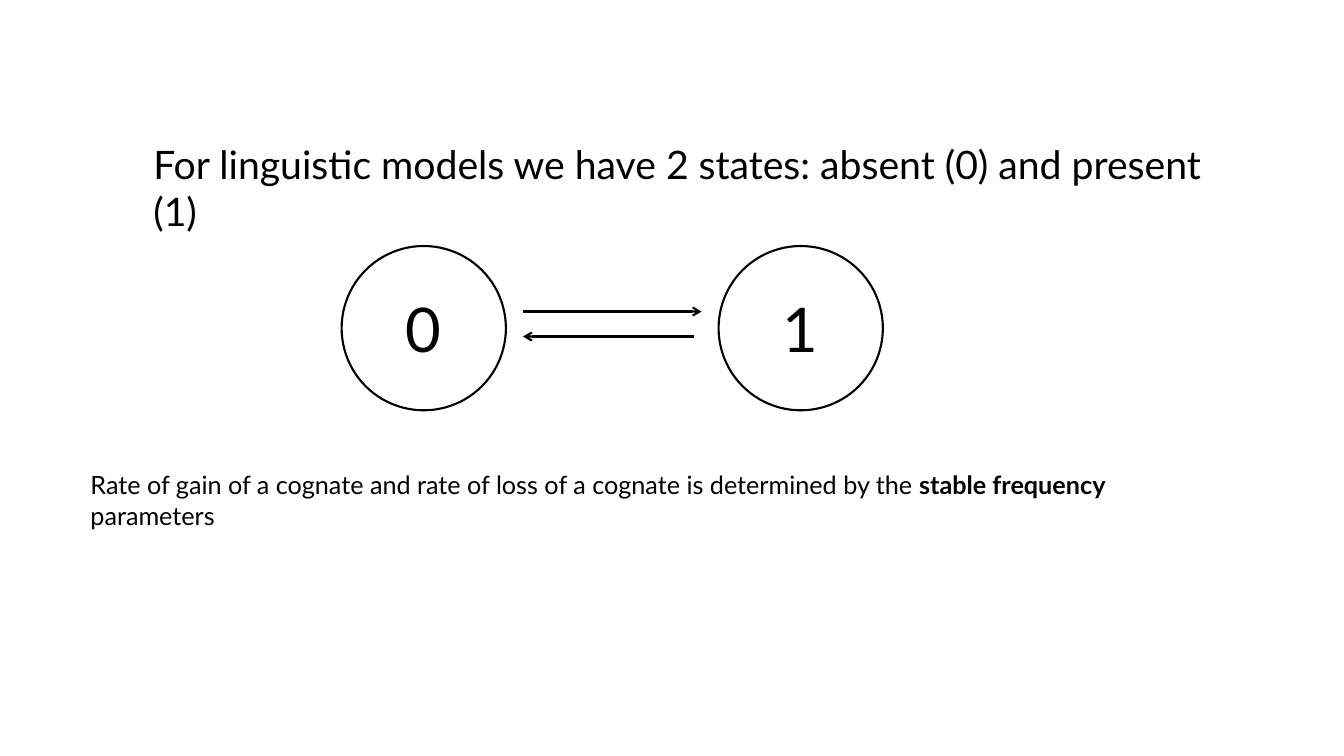
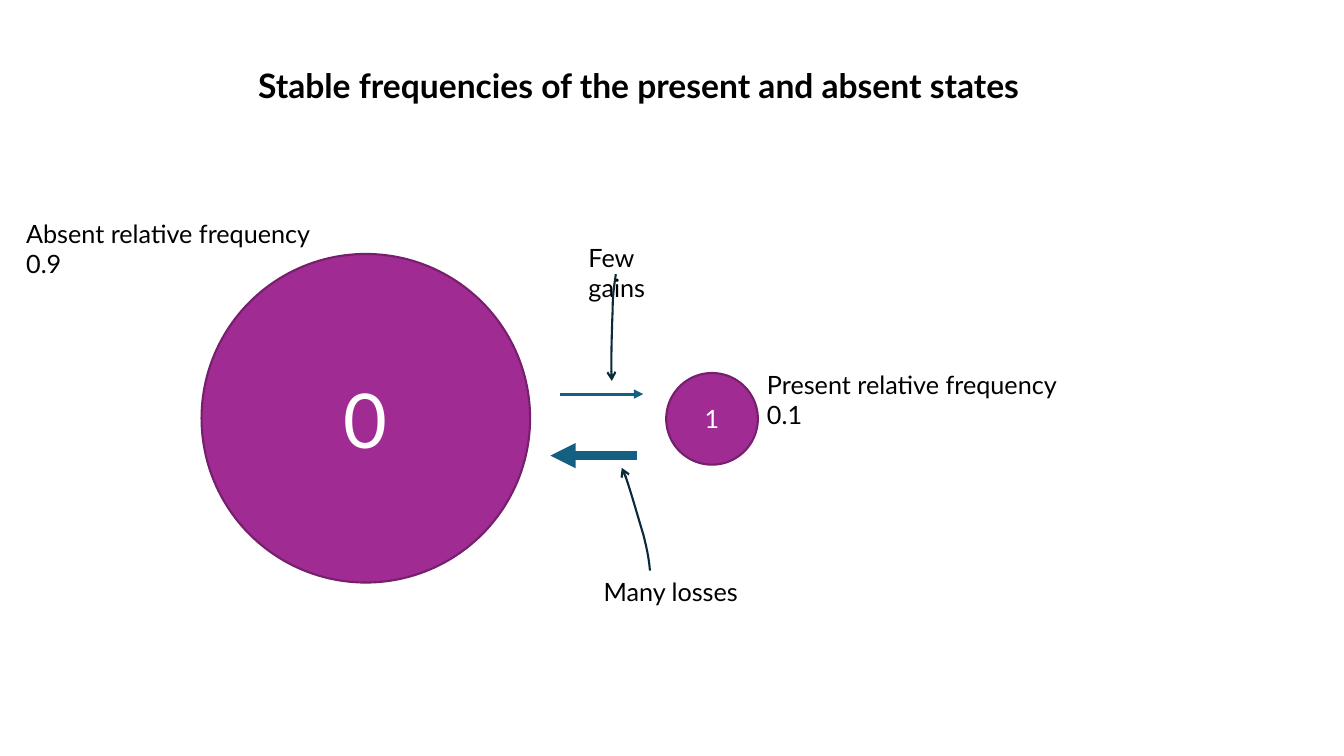
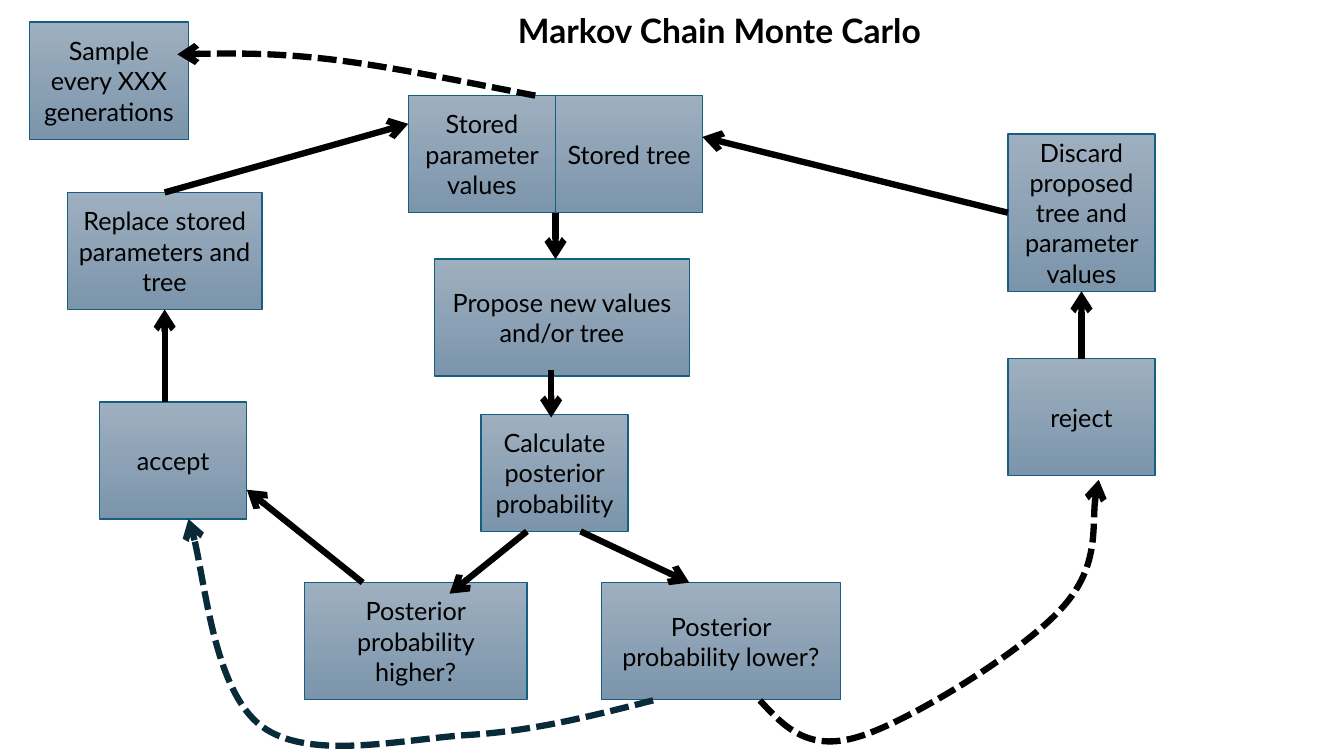
import lxml.etree
import pptx
import pptx.dml.color
import pptx.enum.dml
import pptx.enum.shapes
import pptx.enum.text
import pptx.oxml.ns
import pptx.util

Cm = pptx.util.Cm
Pt = pptx.util.Pt
qn = pptx.oxml.ns.qn
hex_color = pptx.dml.color.RGBColor.from_string
SHAPES = pptx.enum.shapes.MSO_SHAPE
ALIGN = pptx.enum.text.PP_ALIGN
ANCHOR = pptx.enum.text.MSO_ANCHOR

FONT = "Lato"
BLACK, WHITE = "000000", "FFFFFF"
PURPLE, DARK_PURPLE = "A02B93", "76206D"
TEAL, DARK_TEAL = "156082", "092A39"
BOX_TOP, BOX_BOTTOM = "9EAFBF", "7C95AB"


def style_text(shape, size, color=BLACK, bold=False, centred=False):
    frame = shape.text_frame
    frame.word_wrap = True
    frame.vertical_anchor = ANCHOR.MIDDLE if centred else ANCHOR.TOP
    paragraph = frame.paragraphs[0]
    paragraph.alignment = ALIGN.CENTER if centred else ALIGN.LEFT
    for run in paragraph.runs:
        run.font.name = FONT
        run.font.size = Pt(size)
        run.font.bold = bold
        run.font.color.rgb = hex_color(color)


def style_line(shape, color, width, head=None, dashed=False):
    shape.line.color.rgb = hex_color(color)
    shape.line.width = Pt(width)
    if dashed:
        shape.line.dash_style = pptx.enum.dml.MSO_LINE.SQUARE_DOT
    if head:
        outline = shape._element.spPr.find(qn("a:ln"))
        lxml.etree.SubElement(outline, qn("a:tailEnd"), type=head)


deck = pptx.Presentation()
deck.slide_width = Cm(33.87)
deck.slide_height = Cm(19.05)

titles = [
    ("For linguistic models we have 2 states: absent (0) and present (1)", 3.61, 3.4, 28.1, 1.45, 28, False),
    ("Stable frequencies of the present and absent states", 6.25, 1.5, 20.52, 1.27, 24, True),
    ("Markov Chain Monte Carlo", 12.8, 0.13, 10.77, 1.27, 24, True),
]
slides = []
for text, left, top, width, height, size, bold in titles:
    slide = deck.slides.add_slide(deck.slide_layouts[5])
    title = slide.shapes.title
    title.left, title.top, title.width, title.height = Cm(left), Cm(top), Cm(width), Cm(height)
    title.text_frame.text = text
    title.text_frame.auto_size = pptx.enum.text.MSO_AUTO_SIZE.NONE
    style_text(title, size, bold=bold)
    slides.append(slide)
states, frequencies, chain = slides

circles = [
    (states, "0", 8.61, 6.2, 4.14, 44, None, BLACK, BLACK),
    (states, "1", 18.11, 6.2, 4.14, 44, None, BLACK, BLACK),
    (frequencies, "0", 5.08, 6.4, 8.28, 54, PURPLE, DARK_PURPLE, WHITE),
    (frequencies, "1", 16.79, 9.4, 2.31, 18, PURPLE, DARK_PURPLE, WHITE),
]
for slide, text, left, top, diameter, size, fill, outline, ink in circles:
    circle = slide.shapes.add_shape(SHAPES.OVAL, Cm(left), Cm(top), Cm(diameter), Cm(diameter))
    circle.shadow.inherit = False
    if fill:
        circle.fill.solid()
        circle.fill.fore_color.rgb = hex_color(fill)
    else:
        circle.fill.background()
    style_line(circle, outline, 1.5)
    circle.text_frame.text = text
    style_text(circle, size, ink, centred=True)

labels = [
    (states, ["Rate of gain of a cognate and rate of loss of a cognate is determined by the ",
              "stable frequency ", "parameters"], 2.03, 11.71, 29.1),
    (frequencies, ["Absent relative frequency 0.9"], 0.41, 5.38, 8.5),
    (frequencies, ["Present relative frequency 0.1"], 19.08, 9.17, 8.65),
    (frequencies, ["Few gains"], 14.58, 5.97, 3.2),
    (frequencies, ["Many losses"], 14.96, 14.4, 4),
]
for slide, pieces, left, top, width in labels:
    label = slide.shapes.add_textbox(Cm(left), Cm(top), Cm(width), Cm(1.02))
    for piece in pieces:
        label.text_frame.paragraphs[0].add_run().text = piece
    style_text(label, 18)
    for emphasis in label.text_frame.paragraphs[0].runs[1:2]:
        emphasis.font.bold = True

steps = [
    ("Stored parameter values", 10.29, 2.41, 3.71, 2.95),
    ("Stored tree", 14, 2.41, 3.71, 2.95),
    ("Calculate posterior probability", 12.12, 10.44, 3.71, 2.95),
    ("Propose new values and/or tree", 10.95, 6.53, 6.43, 2.95),
    ("Posterior probability higher?", 7.67, 14.68, 5.61, 2.95),
    ("accept", 2.51, 10.13, 3.71, 2.95),
    ("reject", 25.4, 9.04, 3.71, 2.95),
    ("Posterior probability lower?", 15.16, 14.68, 6.02, 2.95),
    ("Replace stored parameters and tree", 1.7, 4.85, 4.9, 2.95),
    ("Discard proposed tree and parameter values", 25.4, 3.38, 3.71, 3.96),
    ("Sample every XXX generations", 0.74, 0.56, 4.01, 2.95),
]
boxes = {}
for text, left, top, width, height in steps:
    box = chain.shapes.add_shape(SHAPES.RECTANGLE, Cm(left), Cm(top), Cm(width), Cm(height))
    box.shadow.inherit = False
    box.fill.gradient()
    box.fill.gradient_angle = 270
    for stop, color in zip(box.fill.gradient_stops, (BOX_TOP, BOX_BOTTOM)):
        stop.color.rgb = hex_color(color)
    style_line(box, TEAL, 1)
    box.text_frame.text = text
    style_text(box, 18, centred=True)
    boxes[text.split()[0]] = box
replace, discard, reject = boxes["Replace"], boxes["Discard"], boxes["reject"]

arrows = [
    (states, (13.18, 7.85), (17.68, 7.85), BLACK, 1.5, "arrow", None, None),
    (states, (17.48, 8.48), (13.18, 8.48), BLACK, 1.5, "arrow", None, None),
    (frequencies, (14.1, 9.93), (16.21, 9.93), TEAL, 2.25, "triangle", None, None),
    (frequencies, (16.05, 11.48), (13.87, 11.48), TEAL, 6, "triangle", None, None),
    (chain, (14, 5.36), (14, 6.53), BLACK, 4.5, "arrow", None, None),
    (chain, (13.89, 9.32), (13.89, 10.52), BLACK, 4.5, "arrow", None, None),
    (chain, (13.28, 13.39), (11.33, 14.96), BLACK, 4.5, "arrow", None, None),
    (chain, (14.63, 13.39), (17.37, 14.68), BLACK, 4.5, "arrow", None, None),
    (chain, (9.14, 14.68), (6.22, 12.34), BLACK, 4.5, "arrow", None, None),
    (chain, (4.15, 10.13), (4.15, 7.8), BLACK, 4.5, "arrow", None, (replace, 2)),
    (chain, (4.15, 4.85), (10.29, 3.12), BLACK, 4.5, "arrow", (replace, 0), None),
    (chain, (25.4, 5.36), (17.7, 3.45), BLACK, 4.5, "arrow", (discard, 1), None),
    (chain, (27.25, 9.04), (27.25, 7.34), BLACK, 4.5, "arrow", (reject, 0), (discard, 2)),
]
for slide, start, end, color, width, head, source, target in arrows:
    arrow = slide.shapes.add_connector(
        pptx.enum.shapes.MSO_CONNECTOR.STRAIGHT, *map(Cm, start + end))
    if source:
        arrow.begin_connect(*source)
    if target:
        arrow.end_connect(*target)
    style_line(arrow, color, width, head)
    lxml.etree.SubElement(arrow._element.spPr, qn("a:effectLst"))

curves = [
    (frequencies, DARK_TEAL, 1.5, False, [
        (15.52, 6.91), (15.49, 7.14), (15.44, 7.37), (15.44, 7.82),
        (15.42, 8.28), (15.39, 9.5), (15.42, 9.6)]),
    (frequencies, DARK_TEAL, 1.5, False, [
        (16.38, 14.38), (16.36, 14.15), (16.33, 13.92), (16.21, 13.46),
        (16.08, 13.03), (15.75, 11.86), (15.67, 11.79)]),
    (chain, DARK_TEAL, 4.5, True, [
        (16.46, 17.65), (14.96, 18.03), (13.46, 18.42), (11.81, 18.52), (10.16, 18.62),
        (7.77, 19.2), (6.58, 18.29), (5.41, 17.4), (5.08, 13.87), (4.75, 13.08)]),
    (chain, BLACK, 4.5, True, [
        (19.15, 17.65), (19.76, 18.31), (20.35, 18.95), (21.62, 18.57), (22.86, 18.21),
        (25.68, 16.48), (26.7, 15.39), (27.71, 14.33), (27.48, 12.65), (27.69, 12.09)]),
    (chain, BLACK, 4.5, True, [
        (13.49, 2.41), (11.68, 2.06), (9.86, 1.68), (8.36, 1.5),
        (6.83, 1.32), (5.11, 1.35), (4.47, 1.37)]),
]
for slide, color, width, dashed, points in curves:
    start, *controls = [(Cm(x), Cm(y)) for x, y in points]
    builder = slide.shapes.build_freeform(*start)
    builder.add_line_segments(controls, close=False)
    curve = builder.convert_to_shape()
    curve.shadow.inherit = False
    curve.fill.background()
    style_line(curve, color, width, "arrow", dashed)
    outline = next(curve._element.iter(qn("a:path")))
    segments = outline.findall(qn("a:lnTo"))
    for first in range(0, len(segments), 3):
        bezier = lxml.etree.SubElement(outline, qn("a:cubicBezTo"))
        for segment in segments[first:first + 3]:
            bezier.append(segment[0])
            outline.remove(segment)

deck.save("out.pptx")
